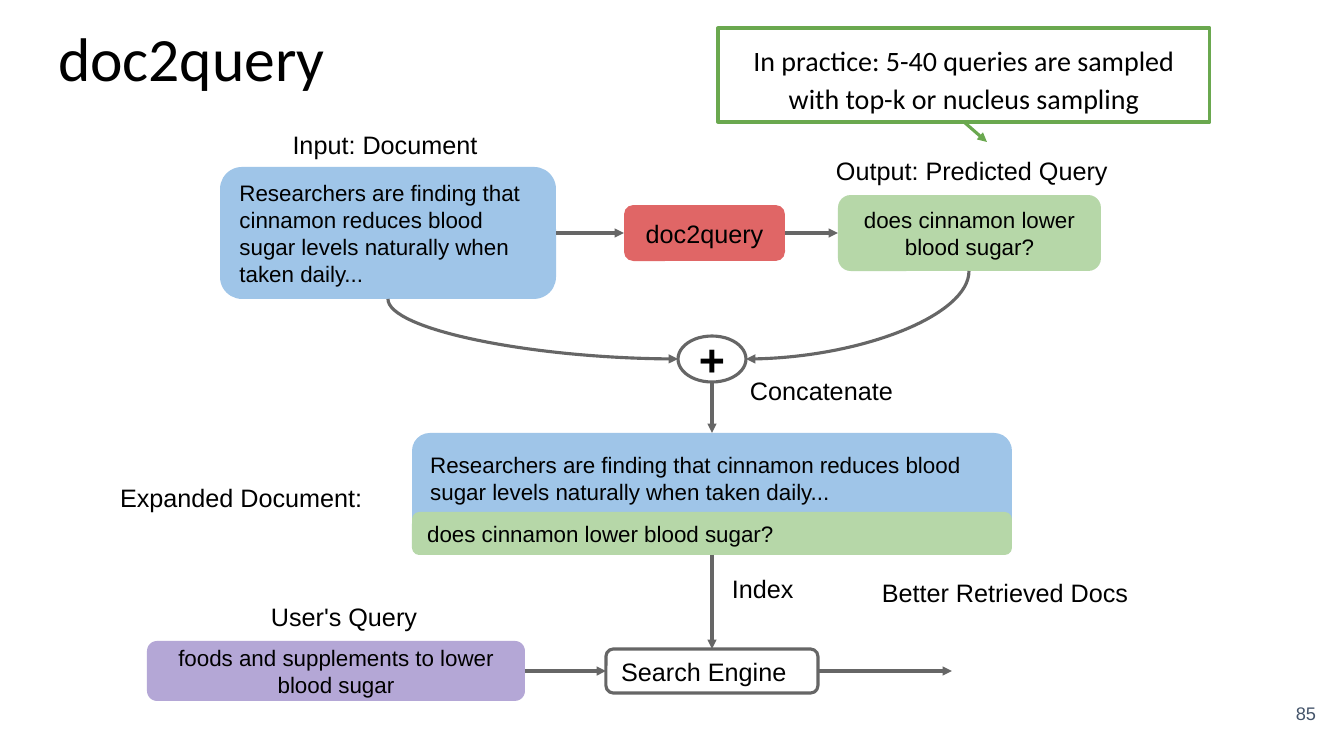
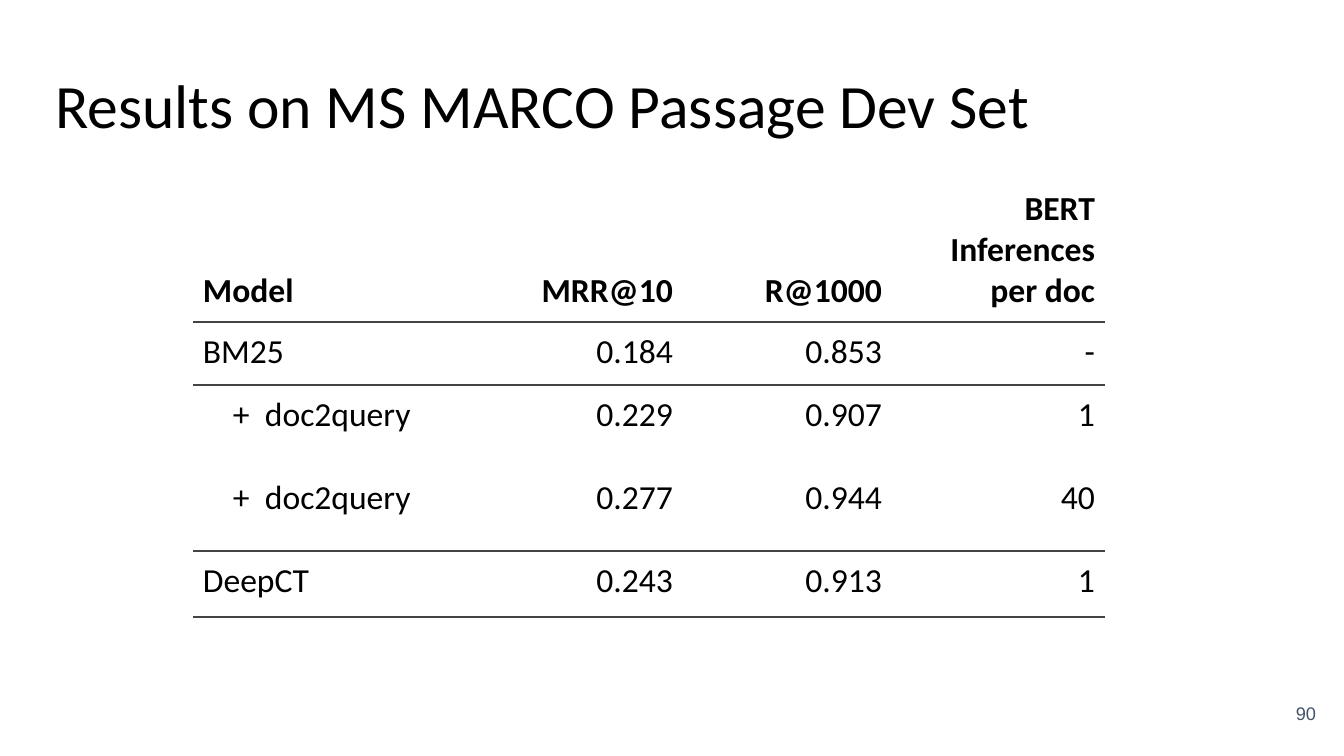
from lxml import etree
from pptx import Presentation
from pptx import util as u
from pptx.dml.color import RGBColor
from pptx.enum import shapes, text
from pptx.oxml.ns import qn

PX = 12192000 / 1344
COLORS = {
    "ink": "000000", "number": "44546A", "line": "666666", "rule": "434343",
    "document": "9FC5E8", "query": "B6D7A8", "model": "E06666",
    "user": "B4A7D6", "note": "6AA84F",
}
NO_TABLE_STYLE = "{2D5ABB26-0587-4C30-8999-92F81FD0307C}"
LEFT, CENTER, RIGHT = text.PP_ALIGN.LEFT, text.PP_ALIGN.CENTER, text.PP_ALIGN.RIGHT
TOP, MIDDLE, BOTTOM = text.MSO_ANCHOR.TOP, text.MSO_ANCHOR.MIDDLE, text.MSO_ANCHOR.BOTTOM
SHAPE = shapes.MSO_SHAPE
LINE_WIDTH = u.Pt(2.25)
SIDE_TOP, SIDE_LEFT, SIDE_BOTTOM, SIDE_RIGHT = range(4)


def px(length):
    return u.Emu(round(length * PX))


def rgb(name):
    return RGBColor.from_string(COLORS[name])


class Deck:
    """Holds the shared style and the slide being drawn."""

    def __init__(self):
        self.prs = Presentation()
        self.prs.slide_width, self.prs.slide_height = px(1344), px(756)
        self.slide = None

    def add_slide(self, title, number, title_box, inset):
        self.slide = self.prs.slides.add_slide(self.prs.slide_layouts[5])
        heading = self.slide.shapes.title
        self.place(heading, title_box)
        self.fill_text(heading.text_frame, title, 44, "Calibri", inset=inset)
        self.label(str(number), (1245, 685, 81, 57), 13, RIGHT, MIDDLE, "number", 10)

    def place(self, item, box):
        item.left, item.top, item.width, item.height = map(px, box)

    def fill_text(self, frame, words, size, font="Arial", align=LEFT, anchor=TOP,
                  color="ink", inset=13, bold=False, spacing=None):
        frame.word_wrap = True
        frame.auto_size = text.MSO_AUTO_SIZE.NONE
        frame.vertical_anchor = anchor
        frame.margin_left = frame.margin_right = px(inset)
        frame.margin_top = frame.margin_bottom = px(inset)
        frame.text = words
        for paragraph in frame.paragraphs:
            self.style(paragraph, size, font, align, color, bold)
            paragraph.line_spacing = spacing

    def style(self, paragraph, size, font, align, color="ink", bold=False):
        paragraph.alignment = align
        for run in paragraph.runs:
            run.font.size, run.font.name, run.font.bold = u.Pt(size), font, bold
            run.font.color.rgb = rgb(color)

    def label(self, words, box, size=18, align=LEFT, anchor=TOP, color="ink", inset=13):
        item = self.slide.shapes.add_textbox(*map(px, box))
        self.fill_text(item.text_frame, words, size, align=align, anchor=anchor,
                       color=color, inset=inset)

    def node(self, words, box, fill=None, line=None, kind=SHAPE.ROUNDED_RECTANGLE,
             size=16, anchor=MIDDLE, **style):
        item = self.slide.shapes.add_shape(kind, *map(px, box))
        item.shadow.inherit = False
        if fill:
            item.fill.solid()
            item.fill.fore_color.rgb = rgb(fill)
        else:
            item.fill.background()
        if line:
            item.line.color.rgb, item.line.width = rgb(line), LINE_WIDTH
        else:
            item.line.fill.background()
        self.fill_text(item.text_frame, words, size, anchor=anchor, **style)
        return item

    def arrow(self, start, end, color="line", source=None, target=None,
              kind=shapes.MSO_CONNECTOR.STRAIGHT):
        """Draws an arrow; source and target are (shape, side) pairs to join."""
        item = self.slide.shapes.add_connector(kind, *map(px, start + end))
        if source:
            item.begin_connect(*source)
        if target:
            item.end_connect(*target)
        item.line.color.rgb, item.line.width = rgb(color), LINE_WIDTH
        outline = item._element.spPr.find(qn("a:ln"))
        etree.SubElement(outline, qn("a:tailEnd"), type="triangle")
        etree.SubElement(item._element.spPr, qn("a:effectLst"))
        return item

    def bend(self, start, end):
        """Draws a quarter curve that leaves downwards and arrives sideways."""
        (x1, y1), (x2, y2) = start, end
        mid_x, mid_y = (x1 + x2) / 2, (y1 + y2) / 2
        rightward = x2 > x1
        half_w, half_h = (y2 - y1) / 2, abs(x2 - x1) / 2
        if rightward:
            half_w = -half_w
        item = self.arrow((mid_x - half_w, mid_y - half_h),
                          (mid_x + half_w, mid_y + half_h),
                          kind=shapes.MSO_CONNECTOR.CURVE)
        properties = item._element.spPr
        properties.find(qn("a:xfrm")).set("rot", str((270 if rightward else 90) * 60000))
        properties.find(qn("a:prstGeom")).set("prst", "curvedConnector2")

    def table(self, rows, origin, widths, heights, ruled):
        """Draws a table with a rule under each row listed in ruled."""
        frame = self.slide.shapes.add_table(
            len(rows), len(widths), *map(px, origin + (sum(widths), sum(heights))))
        grid = frame.table
        grid.first_row = grid.horz_banding = False
        grid._tbl.tblPr.find(qn("a:tableStyleId")).text = NO_TABLE_STYLE
        for column, width in zip(grid.columns, widths):
            column.width = px(width)
        for r, (values, height) in enumerate(zip(rows, heights)):
            grid.rows[r].height = px(height)
            for c, value in enumerate(values):
                self.cell(grid.cell(r, c), value, header=r == 0,
                          align=RIGHT if c else LEFT,
                          above=r - 1 in ruled, below=r in ruled)

    def cell(self, cell, value, header, align, above, below):
        cell.fill.background()
        cell.vertical_anchor = BOTTOM if header else TOP
        cell.margin_left = cell.margin_right = px(10)
        cell.margin_top = cell.margin_bottom = px(10)
        cell.text_frame.text = value
        paragraph = cell.text_frame.paragraphs[0]
        if "\t" in value:
            self.hang(paragraph, 30, 62)
        self.style(paragraph, 24, "Calibri", align, bold=header)
        for tag, wanted in (("a:lnB", below), ("a:lnT", above)):
            if wanted:
                self.rule(cell, tag)

    def hang(self, paragraph, first, rest):
        """Starts a paragraph at first and its text after the tab at rest."""
        properties = paragraph._p.get_or_add_pPr()
        properties.set("marL", str(px(rest)))
        properties.set("indent", str(px(first - rest)))
        stops = etree.SubElement(properties, qn("a:tabLst"))
        etree.SubElement(stops, qn("a:tab"), pos=str(px(rest)), algn="l")

    def rule(self, cell, tag):
        border = etree.Element(qn(tag), w=str(LINE_WIDTH))
        fill = etree.SubElement(border, qn("a:solidFill"))
        etree.SubElement(fill, qn("a:srgbClr"), val=COLORS["rule"])
        cell._tc.get_or_add_tcPr().insert(0, border)


def draw_pipeline(deck):
    deck.add_slide("doc2query", 85, (45, 7, 666, 84), 13)
    passage = ("Researchers are finding that cinnamon reduces blood sugar "
               "levels naturally when taken daily...")
    query = "does cinnamon lower blood sugar?"
    axis, top_row, plus_row, bottom_row = 712, 233, 359, 671

    expanded = deck.node(passage, (axis - 300, 433, 600, 107), "document", anchor=TOP)
    appended = deck.node(query, (axis - 300, 512, 600, 43), "query")
    document = deck.node(passage, (220, top_row - 66, 336, 132), "document")
    model = deck.node("doc2query", (624, top_row - 28, 161, 56), "model",
                      size=18, align=CENTER)
    predicted = deck.node(query, (838, top_row - 38, 263, 76), "query", align=CENTER)
    deck.node("+", (axis - 34, plus_row - 23, 68, 46), line="line", kind=SHAPE.OVAL,
              size=32, align=CENTER, inset=0, bold=True)
    user = deck.node("foods and supplements to lower blood sugar",
                     (147, bottom_row - 30, 378, 60), "user", align=CENTER)
    engine = deck.node("Search Engine", (axis - 106, bottom_row - 22, 212, 44),
                       line="line", size=18)
    note = deck.node("In practice: 5-40 queries are sampled\n"
                     "with top-k or nucleus sampling", (718, 28, 492, 94),
                     line="note", kind=SHAPE.RECTANGLE, size=20, font="Calibri",
                     align=CENTER, anchor=TOP, inset=10, spacing=1.15)

    for words, box, align in (
            ("Input: Document", (213, 116, 344, 41), CENTER),
            ("Output: Predicted Query", (823, 142, 328, 43), LEFT),
            ("Expanded Document:", (107, 469, 281, 46), LEFT),
            ("Index", (719, 560, 212, 46), LEFT),
            ("Concatenate", (737, 362, 212, 46), LEFT),
            ("User's Query", (184, 588, 320, 41), CENTER),
            ("Better Retrieved Docs", (845, 564, 320, 41), CENTER)):
        deck.label(words, box, align=align)

    for source, target in ((document, model), (model, predicted), (user, engine)):
        deck.arrow((0, 0), (0, 0), source=(source, SIDE_RIGHT), target=(target, SIDE_LEFT))
    deck.arrow((axis, 555), (axis, 649), source=(appended, SIDE_BOTTOM),
               target=(engine, SIDE_TOP))
    deck.arrow((818, bottom_row), (952, bottom_row), source=(engine, SIDE_RIGHT))
    deck.arrow((axis, plus_row + 23), (axis, 433), target=(expanded, SIDE_TOP))
    deck.arrow((964, 122), (987, 142), "note", source=(note, SIDE_BOTTOM))
    deck.bend((388, top_row + 66), (axis - 34, plus_row))
    deck.bend((969, top_row + 38), (axis + 34, plus_row))


def draw_results(deck):
    deck.add_slide("Results on MS MARCO Passage Dev Set", 90, (45, 57, 1252, 84), 10)
    deck.table([
        ("Model", "MRR@10", "R@1000", "BERT Inferences per doc"),
        ("BM25", "0.184", "0.853", "-"),
        ("+\tdoc2query", "0.229", "0.907", "1"),
        ("+\tdoc2query", "0.277", "0.944", "40"),
        ("DeepCT", "0.243", "0.913", "1"),
    ], (193, 179), (286, 204, 209, 213), (142, 63, 83, 83, 66), ruled=(0, 3, 4))


def main():
    deck = Deck()
    draw_pipeline(deck)
    draw_results(deck)
    deck.prs.save("out.pptx")


if __name__ == "__main__":
    main()
